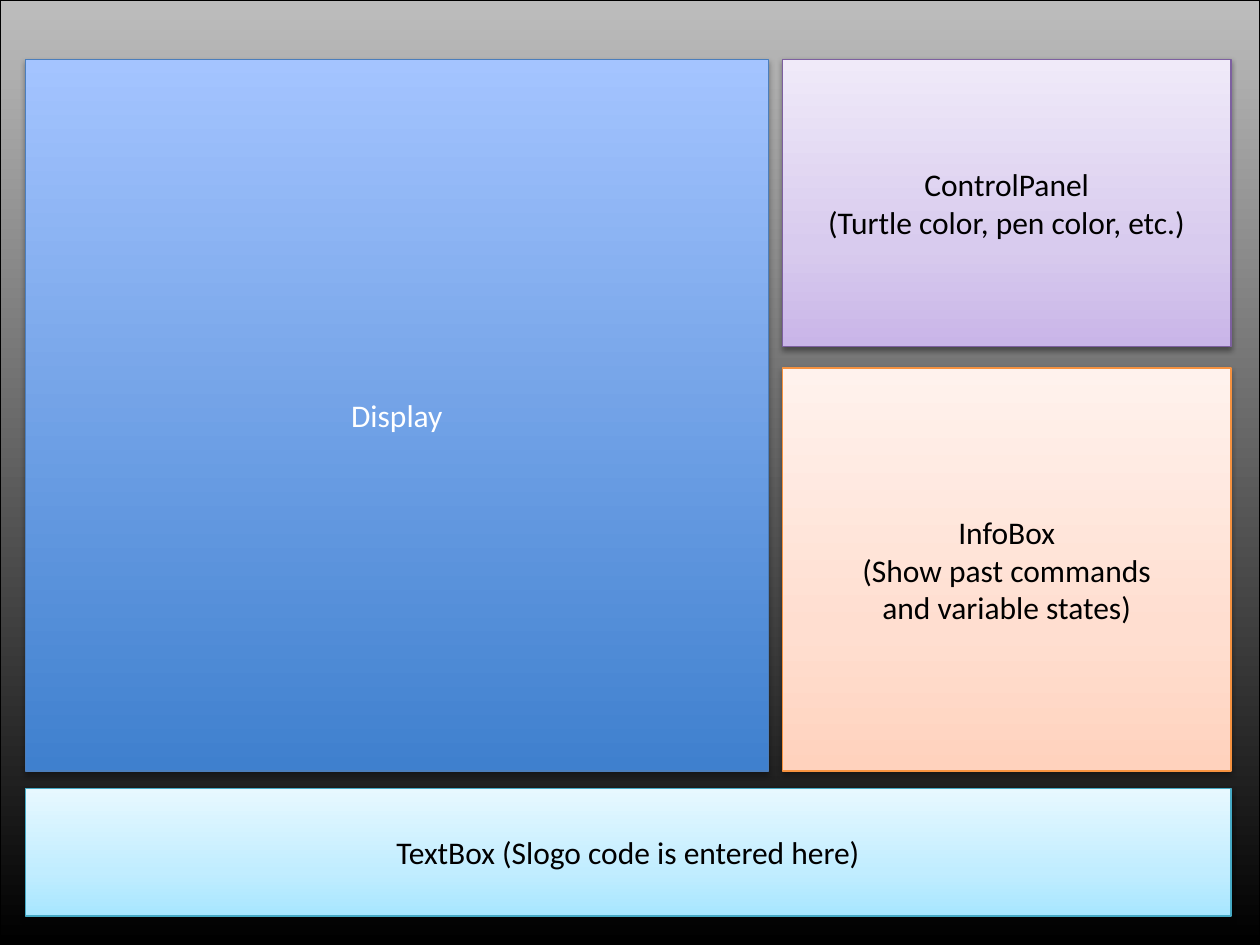
"""Build the window layout sketch of a turtle drawing program."""
from lxml.etree import SubElement
from pptx import Presentation
from pptx.dml.color import RGBColor
from pptx.enum.shapes import MSO_SHAPE
from pptx.enum.text import MSO_ANCHOR, PP_ALIGN
from pptx.oxml.ns import qn
from pptx.util import Inches, Pt


def rgb(color):
    return RGBColor.from_string(color)


def add_color(parent, color):
    node = SubElement(parent, qn("a:srgbClr"), val=color)
    return node


deck = Presentation()
deck.slide_width, deck.slide_height = Inches(10), Inches(7.5)
slide = deck.slides.add_slide(deck.slide_layouts[6])

left, right = 0.2, 9.77
top, bottom = 0.47, 6.12
side_left = 6.21
side_width = right - side_left

STRONG = (35, 1.8)
SOFT = (38, 1.6)
panels = [
    ((0, 0, 10, 7.5), [(0, "000000"), (100, "BDBDBD")],
     "000000", STRONG, "FFFFFF", []),
    ((left, top, 5.9, bottom - top), [(0, "3F80CE"), (100, "A4C4FF")],
     "4B7EBC", STRONG, "FFFFFF", ["Display"]),
    ((left, 6.26, right - left, 1.01),
     [(0, "A7E6FF"), (35, "C1EDFF"), (100, "E7F8FF")],
     "46AAC5", SOFT, "000000", ["TextBox (Slogo code is entered here)"]),
    ((side_left, top, side_width, 2.28),
     [(0, "C9B5E8"), (35, "D8CBEE"), (100, "F0EAF9")],
     "7D60A0", SOFT, "000000",
     ["ControlPanel", "(Turtle color, pen color, etc.)"]),
    ((side_left, 2.92, side_width, bottom - 2.92),
     [(0, "FFD2BD"), (35, "FFDED0"), (100, "FFF2ED")],
     "F69240", SOFT, "000000",
     ["InfoBox", "(Show past commands", "and variable states)"]),
]

for box, stops, border, (opacity, drop), ink, lines in panels:
    panel = slide.shapes.add_shape(MSO_SHAPE.RECTANGLE, *map(Inches, box))
    panel.line.color.rgb = rgb(border)
    panel.line.width = Pt(0.75)

    panel.fill.gradient()
    panel.fill.gradient_angle = 90
    properties = panel._element.spPr
    stop_list = properties.find(".//" + qn("a:gsLst"))
    stop_list.clear()
    for percent, color in stops:
        add_color(SubElement(stop_list, qn("a:gs"), pos=str(percent * 1000)), color)

    panel.shadow.inherit = False
    shade = SubElement(
        properties.find(qn("a:effectLst")), qn("a:outerShdw"),
        blurRad=str(Pt(3.1)), dist=str(Pt(drop)), dir="5400000", rotWithShape="0")
    SubElement(add_color(shade, "000000"), qn("a:alpha"), val=str(opacity * 1000))

    frame = panel.text_frame
    frame.word_wrap = True
    frame.vertical_anchor = MSO_ANCHOR.MIDDLE
    for index, line in enumerate(lines):
        paragraph = frame.add_paragraph() if index else frame.paragraphs[0]
        paragraph.text = line
        paragraph.alignment = PP_ALIGN.CENTER
        paragraph.font.name = "Calibri"
        paragraph.font.size = Pt(18)
        paragraph.font.color.rgb = rgb(ink)

deck.save("out.pptx")
